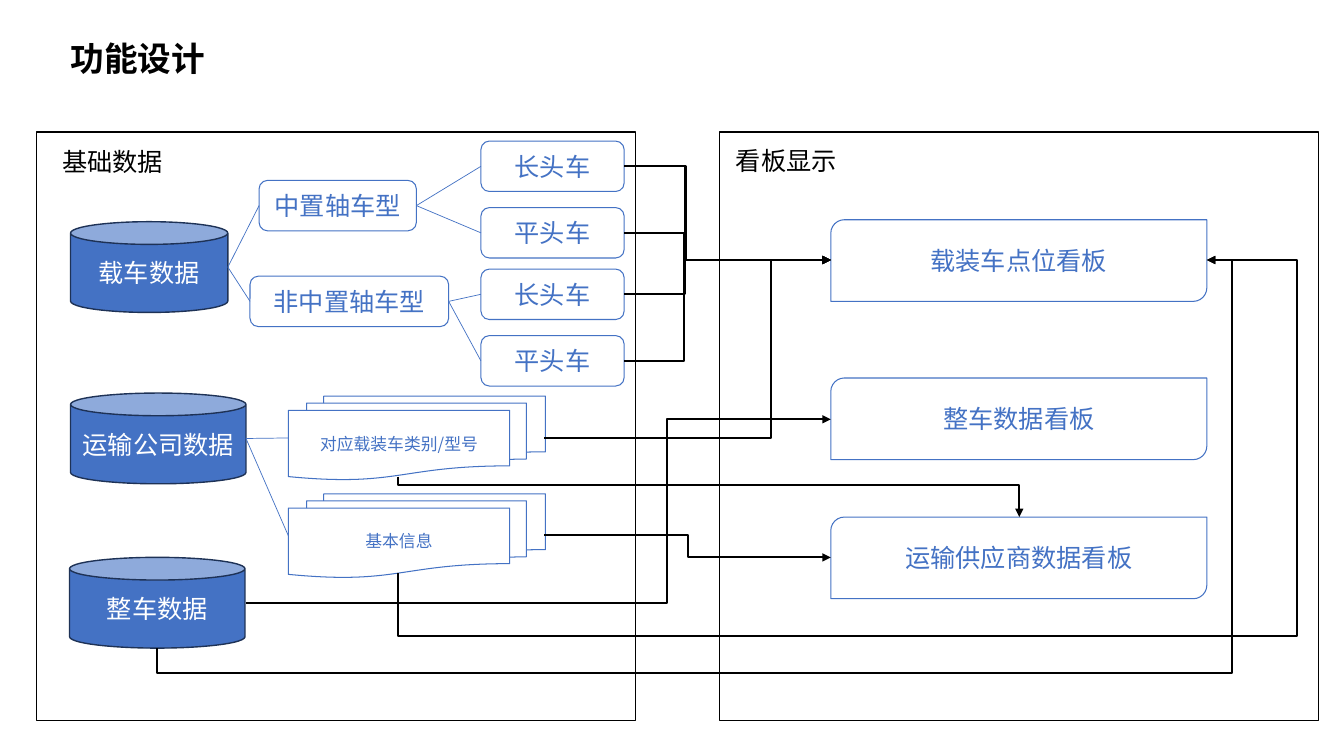
import pptx
import pptx.dml.color
import pptx.enum.shapes
import pptx.enum.text
import pptx.oxml
import pptx.oxml.ns
import pptx.util
import lxml.etree

BLACK = pptx.dml.color.RGBColor(0x00, 0x00, 0x00)
WHITE = pptx.dml.color.RGBColor(0xFF, 0xFF, 0xFF)
BLUE = pptx.dml.color.RGBColor(0x44, 0x72, 0xC4)
NAVY = pptx.dml.color.RGBColor(0x1E, 0x32, 0x56)
CJK = "Noto Sans CJK TC"
LATIN = "Calibri"
EMU_PER_PX = 9144
KIND = pptx.enum.shapes.MSO_SHAPE
LINK = pptx.enum.shapes.MSO_CONNECTOR
ALIGN = pptx.enum.text.PP_ALIGN
ANCHOR = pptx.enum.text.MSO_ANCHOR
AUTOSIZE = pptx.enum.text.MSO_AUTO_SIZE
qn = pptx.oxml.ns.qn


def px(*lengths):
    return [pptx.util.Emu(length * EMU_PER_PX) for length in lengths]


class FlowSlide:
    def __init__(self, slide):
        self.slide = slide
        self.shapes = slide.shapes

    def add_words(self, paragraph, text, size, color, font=CJK, bold=False):
        run = paragraph.add_run()
        run.text = text
        run.font.name = font
        run.font.size = pptx.util.Pt(size)
        run.font.bold = bold
        run.font.color.rgb = color
        east_asian = lxml.etree.SubElement(run.font._element, qn("a:ea"))
        east_asian.set("typeface", CJK)

    def title(self, text, *box):
        heading = self.shapes.title
        heading.left, heading.top, heading.width, heading.height = px(*box)
        heading.text_frame.auto_size = AUTOSIZE.NONE
        heading.text_frame.vertical_anchor = ANCHOR.TOP
        paragraph = heading.text_frame.paragraphs[0]
        paragraph.alignment = ALIGN.LEFT
        paragraph.line_spacing = 0.9
        self.add_words(paragraph, text, 24, BLACK, bold=True)

    def label(self, text, *box):
        caption = self.shapes.add_textbox(*px(*box))
        caption.text_frame.word_wrap = True
        caption.text_frame.auto_size = AUTOSIZE.SHAPE_TO_FIT_TEXT
        self.add_words(caption.text_frame.paragraphs[0], text, 18, BLACK)

    def node(self, kind, box, text="", size=18, color=BLUE, font=CJK,
             fill=None, line=BLUE, weight=0.75):
        node = self.shapes.add_shape(kind, *px(*box))
        node.shadow.inherit = False
        if fill is None:
            node.fill.background()
        else:
            node.fill.solid()
            node.fill.fore_color.rgb = fill
        node.line.color.rgb = line
        node.line.width = pptx.util.Pt(weight)
        if text:
            node.text_frame.word_wrap = True
            node.text_frame.vertical_anchor = ANCHOR.MIDDLE
            paragraph = node.text_frame.paragraphs[0]
            paragraph.alignment = ALIGN.CENTER
            self.add_words(paragraph, text, size, color, font)
        return node

    def database(self, text, *box):
        return self.node(KIND.CAN, box, text, color=WHITE, fill=BLUE, line=NAVY, weight=1)

    def category(self, text, *box):
        return self.node(KIND.ROUNDED_RECTANGLE, box, text)

    def records(self, text, *box):
        return self.node(KIND.FLOWCHART_MULTIDOCUMENT, box, text, size=12)

    def board(self, text, top):
        return self.node(KIND.ROUND_2_DIAG_RECTANGLE, (824, top, 373, 81), text, font=LATIN)

    def connector(self, kind, start, end, color, weight):
        link = self.shapes.add_connector(kind, *px(*start, *end))
        link.line.color.rgb = color
        link.line.width = pptx.util.Pt(weight)
        lxml.etree.SubElement(link._element.spPr, qn("a:effectLst"))
        return link

    def glue(self, link, end_tag, node, site):
        joints = link._element.find(f"{qn('p:nvCxnSpPr')}/{qn('p:cNvCxnSpPr')}")
        joint = lxml.etree.SubElement(joints, qn(end_tag))
        joint.set("id", str(node.shape_id))
        joint.set("idx", str(site))

    def branch(self, parent, child, start=None):
        link = self.connector(LINK.STRAIGHT, start or (0, 0), (0, 0), BLUE, 0.5)
        if start:
            self.glue(link, "a:stCxn", parent, 4)
        else:
            link.begin_connect(parent, 3)
        link.end_connect(child, 1)

    def flow(self, source, source_site, start, target, target_site, end, bends, turned=False):
        link = self.connector(LINK.ELBOW, start, end, BLACK, 1.5)
        self.glue(link, "a:stCxn", source, source_site)
        self.glue(link, "a:endCxn", target, target_site)
        properties = link._element.spPr
        if turned:
            center_x = link.left + link.width // 2
            center_y = link.top + link.height // 2
            link.width, link.height = link.height, link.width
            link.left = center_x - link.width // 2
            link.top = center_y - link.height // 2
            frame = properties.find(qn("a:xfrm"))
            frame.set("rot", str((90 if end[1] < start[1] else 270) * 60000))
            frame.set("flipH", "1")
        geometry = properties.find(qn("a:prstGeom"))
        geometry.set("prst", f"bentConnector{len(bends) + 2}")
        guides = geometry.find(qn("a:avLst"))
        for number, bend in enumerate(bends, 1):
            guide = lxml.etree.SubElement(guides, qn("a:gd"))
            guide.set("name", f"adj{number}")
            guide.set("fmla", f"val {round(bend * 100000)}")
        head = lxml.etree.SubElement(properties.find(qn("a:ln")), qn("a:tailEnd"))
        head.set("type", "triangle")


def main():
    deck = pptx.Presentation()
    deck.slide_width, deck.slide_height = px(1333, 750)
    page = FlowSlide(deck.slides.add_slide(deck.slide_layouts[5]))
    page.title("功能设计", 60, 37, 1000, 58)

    for left in (36, 714):
        page.node(KIND.RECTANGLE, (left, 131, 594, 584), line=BLACK)
    page.label("基础数据", 52, 140, 250, 40)
    page.label("看板显示", 720, 139, 250, 40)

    vehicle_data = page.database("整车数据", 69, 553, 174, 90)
    carrier_data = page.database("载车数据", 70, 220, 156, 90)
    company_data = page.database("运输公司数据", 70, 390, 174, 90)

    center_axle = page.category("中置轴车型", 257, 179, 156, 50)
    other_axle = page.category("非中置轴车型", 248, 274, 197, 50)
    cabs = [
        page.category(text, 477, top, 142, 50)
        for text, top in (("长头车", 140), ("平头车", 206), ("长头车", 267), ("平头车", 333))
    ]
    models = page.records("对应载装车类别/型号", 286, 393, 255, 83)
    basics = page.records("基本信息", 286, 490, 255, 83)

    for axle, axle_cabs in ((center_axle, cabs[:2]), (other_axle, cabs[2:])):
        page.branch(carrier_data, axle, (226, 265))
        for cab in axle_cabs:
            page.branch(axle, cab)
    for documents in (models, basics):
        page.branch(company_data, documents, (244, 435))

    position_board = page.board("载装车点位看板", 218)
    vehicle_board = page.board("整车数据看板", 375)
    supplier_board = page.board("运输供应商数据看板", 513)

    position_left, position_right = (824, 258), (1197, 258)
    page.flow(vehicle_data, 3, (156, 643), position_board, 0, position_right,
              (-0.065, 1.024), turned=True)
    page.flow(vehicle_data, 4, (244, 598), vehicle_board, 2, (824, 416), (0.72,))
    for cab, middle, bend in zip(cabs, (165, 231, 292, 358), (0.297, 0.292, 0.292, 0.288)):
        page.flow(cab, 3, (619, middle), position_board, 2, position_left, (bend,))
    page.flow(models, 3, (540, 435), position_board, 2, position_left, (0.79,))
    page.flow(basics, 2, (395, 569), position_board, 0, position_right,
              (-0.2, 1.111), turned=True)
    page.flow(basics, 3, (540, 531), supplier_board, 2, (824, 553), (0.5,))
    page.flow(models, 2, (395, 473), supplier_board, 3, (1011, 513), (0.2,), turned=True)

    deck.save("out.pptx")


if __name__ == "__main__":
    main()
